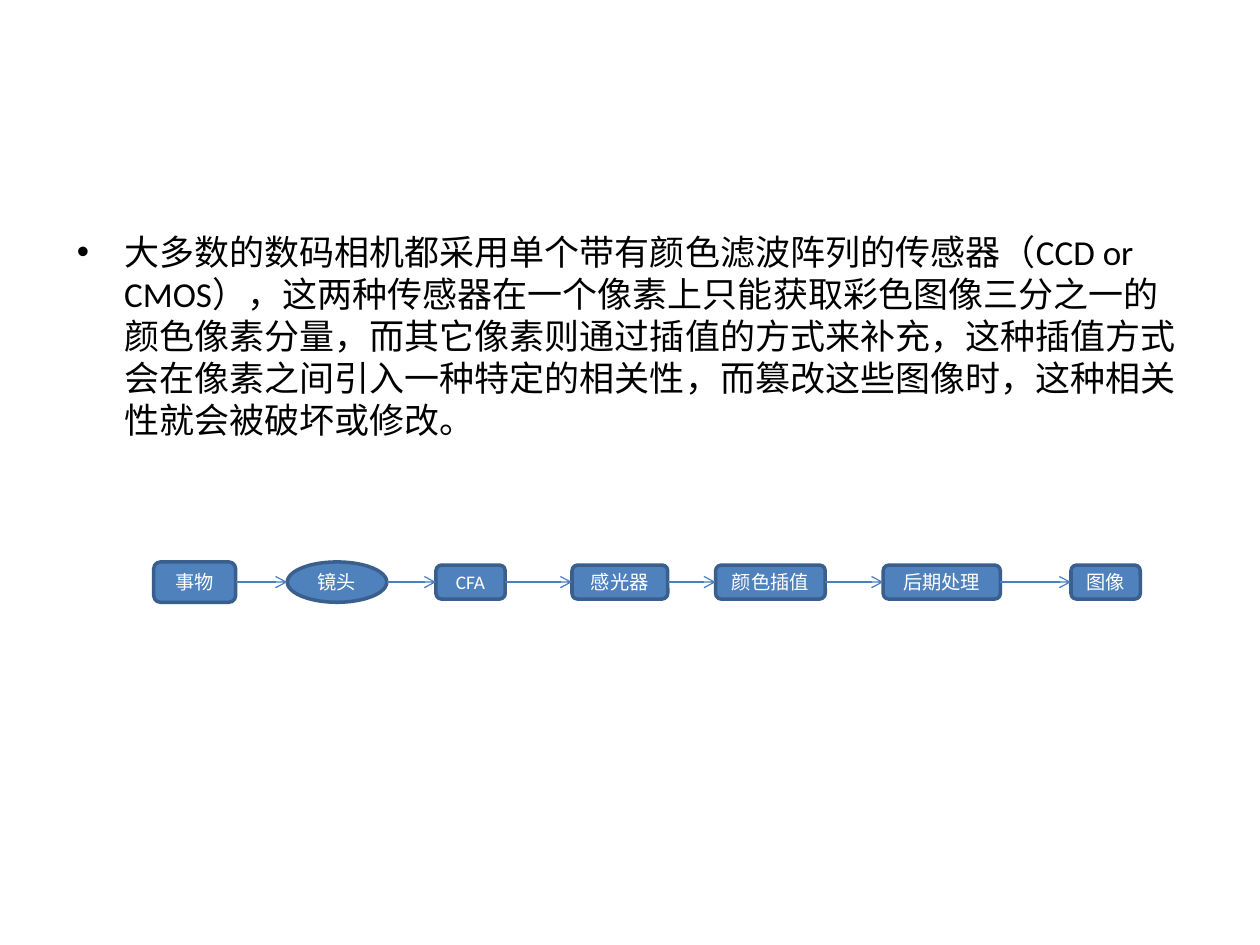
from dataclasses import dataclass

from lxml import etree
from pptx import Presentation
from pptx import util as u
from pptx.dml.color import RGBColor
from pptx.enum import shapes, text
from pptx.oxml import ns


@dataclass(frozen=True)
class Theme:
    font: str = "Calibri"
    ink: RGBColor = RGBColor.from_string("000000")
    stage_fill: RGBColor = RGBColor.from_string("4F81BD")
    stage_edge: RGBColor = RGBColor.from_string("3A5F8C")
    stage_ink: RGBColor = RGBColor.from_string("FFFFFF")
    arrow: RGBColor = RGBColor.from_string("4B7EBC")
    body_size: u.Pt = u.Pt(20)
    stage_size: u.Pt = u.Pt(11)


theme = Theme()


def set_font(paragraph, size, color):
    paragraph.font.name = theme.font
    paragraph.font.size = size
    paragraph.font.color.rgb = color


prs = Presentation()
prs.slide_width, prs.slide_height = u.Inches(10), u.Inches(7.5)
slide = prs.slides.add_slide(prs.slide_layouts.get_by_name("Title and Content"))
title = slide.shapes.title.element
title.getparent().remove(title)

body = slide.placeholders[1]
body.left, body.top = u.Inches(0.51), u.Inches(1.78)
body.width, body.height = u.Inches(9), u.Inches(4.95)
explanation = body.text_frame.paragraphs[0]
explanation.text = (
    "大多数的数码相机都采用单个带有颜色滤波阵列的传感器（CCD or CMOS），"
    "这两种传感器在一个像素上只能获取彩色图像三分之一的颜色像素分量，"
    "而其它像素则通过插值的方式来补充，"
    "这种插值方式会在像素之间引入一种特定的相关性，"
    "而篡改这些图像时，这种相关性就会被破坏或修改。"
)
explanation.space_before = u.Pt(0)
set_font(explanation, theme.body_size, theme.ink)

BOX, LENS = shapes.MSO_SHAPE.ROUNDED_RECTANGLE, shapes.MSO_SHAPE.OVAL
axis = u.Inches(4.62)
stages = [
    ("事物", BOX, 1.22, 0.65, 0.32),
    ("镜头", LENS, 2.28, 0.79, 0.32),
    ("CFA", BOX, 3.46, 0.55, 0.27),
    ("感光器", BOX, 4.54, 0.76, 0.27),
    ("颜色插值", BOX, 5.68, 0.87, 0.27),
    ("后期处理", BOX, 7.01, 0.93, 0.27),
    ("图像", BOX, 8.5, 0.55, 0.27),
]

pipeline = slide.shapes.add_group_shape().shapes
nodes = []
for label, outline, left, width, height in stages:
    node = pipeline.add_shape(
        outline, u.Inches(left), axis - u.Inches(height / 2), u.Inches(width), u.Inches(height)
    )
    node.shadow.inherit = False
    node.fill.solid()
    node.fill.fore_color.rgb = theme.stage_fill
    node.line.color.rgb = theme.stage_edge
    node.line.width = u.Pt(2)
    frame = node.text_frame
    frame.word_wrap = True
    frame.vertical_anchor = text.MSO_ANCHOR.MIDDLE
    frame.margin_left = frame.margin_right = u.Inches(0.03)
    caption = frame.paragraphs[0]
    caption.text = label
    caption.alignment = text.PP_ALIGN.CENTER
    set_font(caption, theme.stage_size, theme.stage_ink)
    nodes.append(node)

for source, target in zip(nodes, nodes[1:]):
    arrow = pipeline.add_connector(
        shapes.MSO_CONNECTOR.STRAIGHT, source.left + source.width, axis, target.left, axis
    )
    if source.auto_shape_type == BOX:
        arrow.begin_connect(source, 3)
    if target.auto_shape_type == BOX:
        arrow.end_connect(target, 1)
    arrow.line.color.rgb = theme.arrow
    arrow.line.width = u.Pt(0.75)
    etree.SubElement(arrow.line._get_or_add_ln(), ns.qn("a:tailEnd"), type="arrow")
    etree.SubElement(arrow.element.spPr, ns.qn("a:effectLst"))

prs.save("out.pptx")
